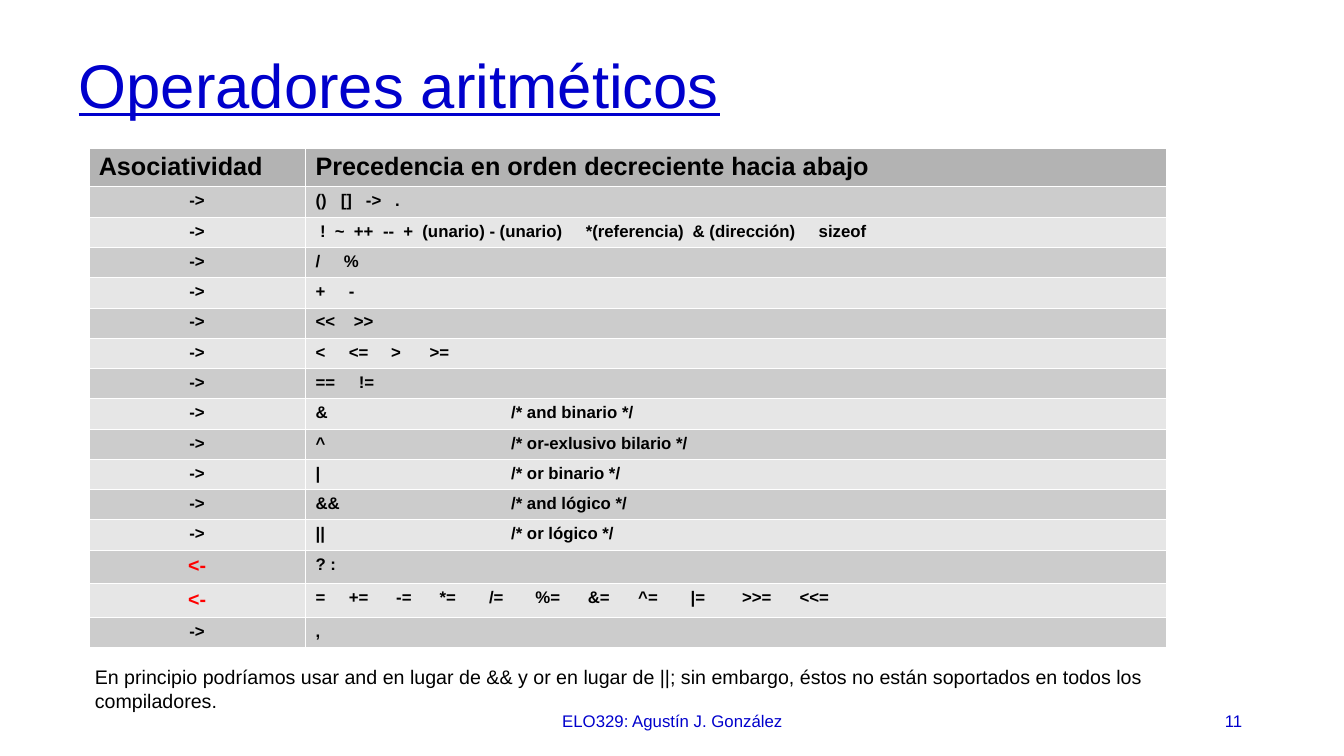
from lxml import etree
from pptx import Presentation
from pptx.dml.color import RGBColor
from pptx.enum.text import MSO_ANCHOR, MSO_AUTO_SIZE, PP_ALIGN
from pptx.oxml.ns import qn
from pptx.util import Inches, Pt

LEFT, CENTER, RIGHT = PP_ALIGN.LEFT, PP_ALIGN.CENTER, PP_ALIGN.RIGHT
TOP, MIDDLE = MSO_ANCHOR.TOP, MSO_ANCHOR.MIDDLE
NO_FIT = MSO_AUTO_SIZE.NONE

FONT = "Arial"
BLUE, BLACK, RED, WHITE = "0000CC", "000000", "FF0000", "FFFFFF"
HEADER_FILL, BANDS = "B3B3B3", ("CCCCCC", "E6E6E6")

TABLE_LEFT, TABLE_TOP = 0.88, 1.47
COLUMNS = (2.15, 8.54)
HEADER_HEIGHT, ROW_HEIGHT, RED_ROW_HEIGHT = 0.37, 0.3, 0.32
COMMENT_STOP = (1.94,)

HEADERS = ("Asociatividad", "Precedencia en orden decreciente hacia abajo")

# Associativity, tab-separated operators, tab stops in inches
OPERATORS = (
    ("->", "()\t[]\t->\t.", (0.25, 0.5, 0.79)),
    ("->", " !\t~\t++\t--\t+\t(unario) - (unario)\t*(referencia)\t& (dirección)\tsizeof",
     (0.19, 0.38, 0.67, 0.87, 1.06, 2.68, 3.74, 4.99)),
    ("->", "/\t%", (0.28,)),
    ("->", "+\t-", (0.33,)),
    ("->", "<<\t>>", (0.38,)),
    ("->", "<\t<=\t>\t>=", (0.33, 0.75, 1.13)),
    ("->", "==\t!=", (0.43,)),
    ("->", "&\t/* and binario */", COMMENT_STOP),
    ("->", "^\t/* or-exlusivo bilario */", COMMENT_STOP),
    ("->", "|\t/* or binario */", COMMENT_STOP),
    ("->", "&&\t/* and lógico */", COMMENT_STOP),
    ("->", "||\t/* or lógico */", COMMENT_STOP),
    ("<-", "? :", ()),
    ("<-", "=\t+=\t-=\t*=\t/=\t%=\t&=\t^=\t|=\t>>=\t<<=",
     (0.33, 0.8, 1.23, 1.72, 2.18, 2.7, 3.2, 3.72, 4.23, 4.8)),
    ("->", ",", ()),
)
NOTE = ("En principio podríamos usar and en lugar de && y or en lugar de ||; "
        "sin embargo, éstos no están soportados en todos los compiladores.")


def color(value):
    return RGBColor.from_string(value)


def write(tf, text, size, ink, align=LEFT, bold=False):
    p = tf.paragraphs[0]
    p.text = text
    p.alignment = align
    p.font.name, p.font.size, p.font.bold = FONT, Pt(size), bold
    p.font.color.rgb = color(ink)
    return p


def place(sp, left, top, width, height):
    sp.left, sp.top = Inches(left), Inches(top)
    sp.width, sp.height = Inches(width), Inches(height)


def add_title(slide, text):
    sp = slide.shapes.title
    place(sp, 0.68, 0.4, 12.08, 0.95)
    tf = sp.text_frame
    tf.auto_size, tf.vertical_anchor = NO_FIT, MIDDLE
    p = write(tf, text, 44, BLUE)
    p.font.underline = True
    p.line_spacing = 0.9


def add_text(slide, box, text, size, ink, align=LEFT, anchor=MIDDLE):
    sp = slide.shapes.add_textbox(*map(Inches, box))
    tf = sp.text_frame
    tf.word_wrap, tf.vertical_anchor = True, anchor
    write(tf, text, size, ink, align)
    return tf


def set_tabs(p, stops):
    tab_list = etree.Element(qn("a:tabLst"))
    for stop in stops:
        etree.SubElement(tab_list, qn("a:tab"), pos=str(Inches(stop)), algn="l")
    p._p.get_or_add_pPr().insert(0, tab_list)


def set_borders(cell):
    props = cell._tc.get_or_add_tcPr()
    for i, side in enumerate(("a:lnL", "a:lnR", "a:lnT", "a:lnB")):
        line = etree.Element(qn(side), w=str(Pt(0.06)))
        fill = etree.SubElement(line, qn("a:solidFill"))
        etree.SubElement(fill, qn("a:srgbClr"), val=WHITE)
        props.insert(i, line)


def fill_cell(cell, text, size, fill, ink=BLACK, align=LEFT, margin=0.05):
    cell.fill.solid()
    cell.fill.fore_color.rgb = color(fill)
    cell.margin_top = cell.margin_bottom = Inches(margin)
    set_borders(cell)
    return write(cell.text_frame, text, size, ink, align, bold=True)


def add_operator_table(slide):
    heights = [HEADER_HEIGHT] + [
        RED_ROW_HEIGHT if arrow == "<-" else ROW_HEIGHT for arrow, _, _ in OPERATORS]
    box = (TABLE_LEFT, TABLE_TOP, sum(COLUMNS), sum(heights))
    table = slide.shapes.add_table(len(heights), len(COLUMNS), *map(Inches, box)).table
    for column, width in zip(table.columns, COLUMNS):
        column.width = Inches(width)
    for row, height in zip(table.rows, heights):
        row.height = Inches(height)

    for i, header in enumerate(HEADERS):
        fill_cell(table.cell(0, i), header, 18, HEADER_FILL, margin=0.04)
    for i, (arrow, operators, stops) in enumerate(OPERATORS):
        fill = BANDS[i % 2]
        size, ink = (14, RED) if arrow == "<-" else (12, BLACK)
        fill_cell(table.cell(i + 1, 0), arrow, size, fill, ink, CENTER)
        p = fill_cell(table.cell(i + 1, 1), operators, 12, fill)
        if stops:
            set_tabs(p, stops)


def add_note(slide):
    tf = add_text(slide, (0.87, 6.56, sum(COLUMNS), 0.43), NOTE, 14, BLACK, anchor=TOP)
    tf.margin_left = tf.margin_right = Inches(0.07)
    tf.margin_top = tf.margin_bottom = Inches(0.04)
    tf.paragraphs[0].space_before = Pt(2.5)


def main():
    prs = Presentation()
    prs.slide_width, prs.slide_height = Inches(13.33), Inches(7.5)
    slide = prs.slides.add_slide(prs.slide_layouts[5])

    add_title(slide, "Operadores aritméticos")
    # Footer
    add_text(slide, (4.42, 6.95, 4.5, 0.4), "ELO329: Agustín J. González", 12, BLUE, CENTER)
    add_text(slide, (9.42, 6.95, 3, 0.4), "11", 12, BLUE, RIGHT)
    # Operators and remark
    add_operator_table(slide)
    add_note(slide)

    prs.save("out.pptx")


if __name__ == "__main__":
    main()
